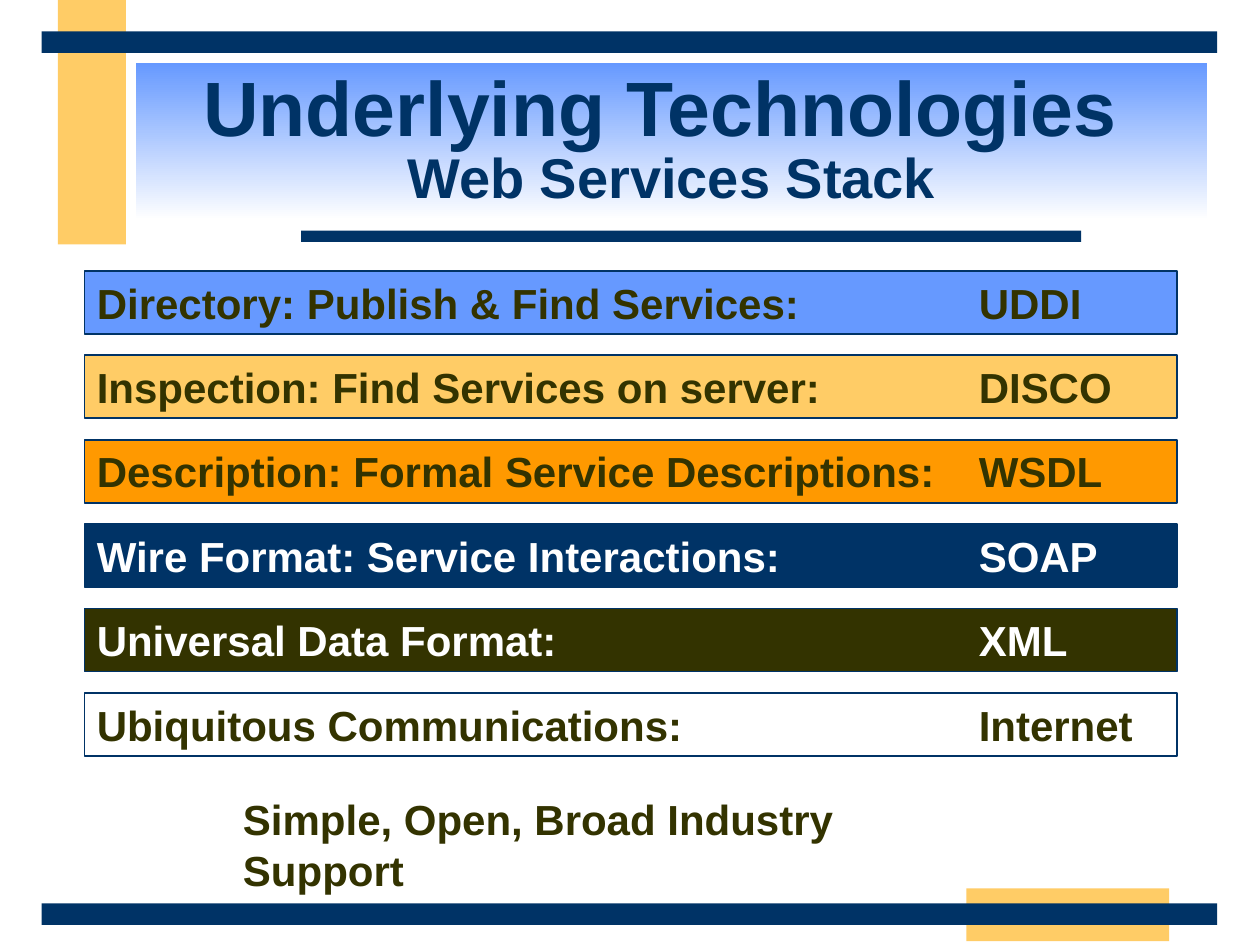
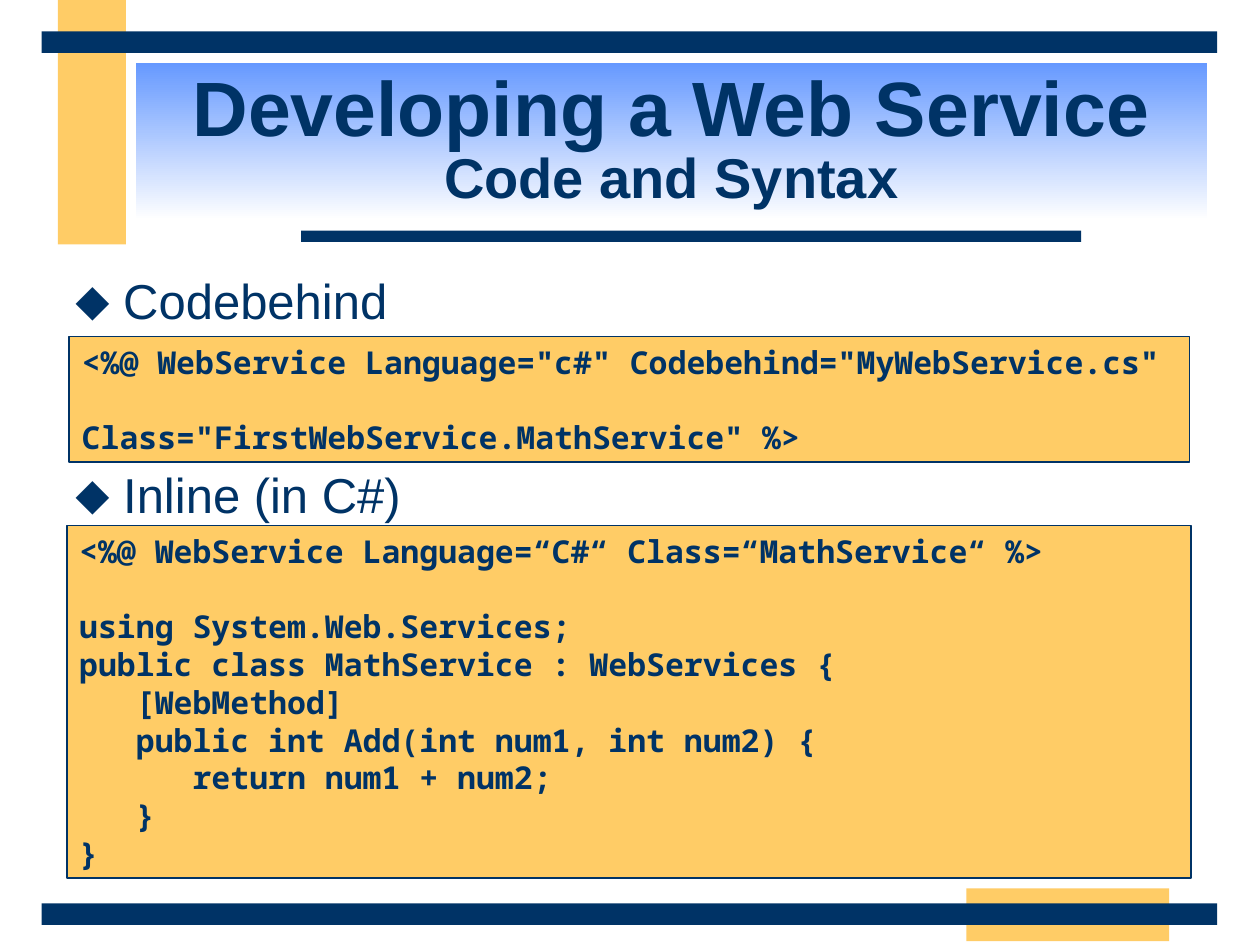
from dataclasses import dataclass

from lxml.etree import SubElement
from pptx import Presentation
from pptx.dml.color import RGBColor as Rgb
from pptx.enum.shapes import MSO_SHAPE as Shape
from pptx.enum.text import MSO_ANCHOR as Anchor, PP_ALIGN as Align
from pptx.oxml.ns import qn
from pptx.util import Inches, Pt


@dataclass(frozen=True)
class Theme:
    navy: Rgb = Rgb(0x00, 0x33, 0x66)
    sand: Rgb = Rgb(0xFF, 0xCC, 0x66)
    sky: Rgb = Rgb(0x66, 0x99, 0xFF)
    orange: Rgb = Rgb(0xFF, 0x99, 0x00)
    olive: Rgb = Rgb(0x33, 0x33, 0x00)
    white: Rgb = Rgb(0xFF, 0xFF, 0xFF)
    font: str = "Arial"
    code_font: str = "Noto Sans Mono"
    title: int = 44
    subtitle: int = 32
    bullet: int = 28
    label: int = 24
    code: int = 18
    code_line: float = 21.6  # height of one line of code, in points


THEME = Theme()

STACK_LAYERS = [
    ("Directory: Publish & Find Services:", "UDDI", THEME.sky, THEME.olive),
    ("Inspection: Find Services on server:", "DISCO", THEME.sand, THEME.olive),
    ("Description: Formal Service Descriptions:", "WSDL", THEME.orange, THEME.olive),
    ("Wire Format: Service Interactions:", "SOAP", THEME.navy, THEME.white),
    ("Universal Data Format:", "XML", THEME.olive, THEME.white),
    ("Ubiquitous Communications:", "Internet", None, THEME.olive),
]

CODEBEHIND = """<%@ WebService Language="c#" Codebehind="MyWebService.cs"

Class="FirstWebService.MathService" %>"""

INLINE = """<%@ WebService Language=“C#“ Class=“MathService“ %>

using System.Web.Services;
public class MathService : WebServices {
   [WebMethod]
   public int Add(int num1, int num2) {
      return num1 + num2;
   }
}"""


def add_span(para, text, size, color, bold=True, font=THEME.font):
    span = para.add_run()
    span.text = text
    span.font.name = font
    span.font.size = Pt(size)
    span.font.bold = bold
    span.font.color.rgb = color


def add_panel(page, left, top, width, height, fill=None, outlined=False):
    """Add a rectangle whose text starts at its top left corner."""
    box = page.shapes.add_shape(
        Shape.RECTANGLE, Inches(left), Inches(top), Inches(width), Inches(height))
    box.shadow.inherit = False
    if fill is None:
        box.fill.background()
    else:
        box.fill.solid()
        box.fill.fore_color.rgb = fill
    if outlined:
        box.line.color.rgb = THEME.navy
        box.line.width = Pt(1)
    else:
        box.line.fill.background()
    box.text_frame.word_wrap = True
    box.text_frame.vertical_anchor = Anchor.TOP
    box.text_frame.paragraphs[0].alignment = Align.LEFT
    return box


def add_textbox(page, left, top, width, height):
    box = page.shapes.add_textbox(
        Inches(left), Inches(top), Inches(width), Inches(height))
    return box.text_frame


def add_frame(page):
    """Draw the bands that every page shares."""
    add_panel(page, 0.46, 0, 0.54, 1.94, THEME.sand)
    add_panel(page, 7.67, 7.05, 1.61, 0.42, THEME.sand)
    add_panel(page, 2.39, 1.83, 6.19, 0.09, THEME.navy)
    for top in (7.17, 0.25):
        add_panel(page, 0.33, top, 9.33, 0.17, THEME.navy)


def add_title(page, title, subtitle):
    box = add_panel(page, 1.08, 0.5, 8.5, 1.25)
    box.fill.gradient()
    box.fill.gradient_angle = 270
    for stop, color, position in zip(
            box.fill.gradient_stops, (THEME.sky, THEME.white), (0, 1)):
        stop.color.rgb = color
        stop.position = position
    box.text_frame.vertical_anchor = Anchor.MIDDLE
    para = box.text_frame.paragraphs[0]
    para.alignment = Align.CENTER
    para.line_spacing = 0.85
    add_span(para, title, THEME.title, THEME.navy)
    para.add_line_break()
    add_span(para, subtitle, THEME.subtitle, THEME.navy)


def add_page(deck, title, subtitle):
    page = deck.slides.add_slide(deck.slide_layouts[6])
    add_frame(page)
    add_title(page, title, subtitle)
    return page


def add_layer(page, top, role, technology, fill, color):
    """Add one row of the stack, with the technology at a tab stop."""
    box = add_panel(page, 0.67, top, 8.67, 0.5, fill, outlined=True)
    para = box.text_frame.paragraphs[0]
    tabs = SubElement(para._p.get_or_add_pPr(), qn("a:tabLst"))
    SubElement(tabs, qn("a:tab"), pos=str(Inches(7)), algn="l")
    add_span(para, f"{role}\t{technology}", THEME.label, color)


def add_bullet(page, top, text):
    frame = add_textbox(page, 0.5, top, 9, 0.55)
    frame.word_wrap = True
    para = frame.paragraphs[0]
    props = para._p.get_or_add_pPr()
    indent = Inches(0.38)
    props.set("marL", str(indent))
    props.set("indent", str(-indent))
    bullet_color = SubElement(props, qn("a:buClr"))
    SubElement(bullet_color, qn("a:srgbClr"), val=str(THEME.navy))
    SubElement(props, qn("a:buFont"), typeface=THEME.font)
    SubElement(props, qn("a:buChar"), char="⬥")
    add_span(para, text, THEME.bullet, THEME.navy, bold=False)


def add_code(page, left, top, width, height, code):
    """Add a code panel; an empty line becomes space before the next one."""
    frame = add_panel(
        page, left, top, width, height, THEME.sand, outlined=True).text_frame
    para, after_gap = frame.paragraphs[0], False
    for number, line in enumerate(code.splitlines()):
        if not line:
            after_gap = True
            continue
        if number:
            para = frame.add_paragraph()
            para.alignment = Align.LEFT
        if after_gap:
            para.space_before = Pt(THEME.code_line)
            after_gap = False
        add_span(para, line, THEME.code, THEME.navy, font=THEME.code_font)


def build_stack_page(deck):
    page = add_page(deck, "Underlying Technologies ", "Web Services Stack")
    first_top, pitch = 2.15, 0.67
    for index, layer in enumerate(STACK_LAYERS):
        add_layer(page, first_top + index * pitch, *layer)
    frame = add_textbox(page, 1.83, 6.25, 6.25, 0.5)
    frame.word_wrap = False
    add_span(frame.paragraphs[0], "Simple, Open, Broad Industry Support",
             THEME.label, THEME.olive)


def build_code_page(deck):
    page = add_page(deck, "Developing a Web Service", "Code and Syntax")
    add_bullet(page, 2.1, "Codebehind")
    add_code(page, 0.55, 2.67, 8.89, 1, CODEBEHIND)
    add_bullet(page, 3.64, "Inline (in C#)")
    add_code(page, 0.53, 4.17, 8.92, 2.8, INLINE)


def main():
    deck = Presentation()
    deck.slide_width, deck.slide_height = Inches(10), Inches(7.5)
    build_stack_page(deck)
    build_code_page(deck)
    deck.save("out.pptx")


if __name__ == "__main__":
    main()
